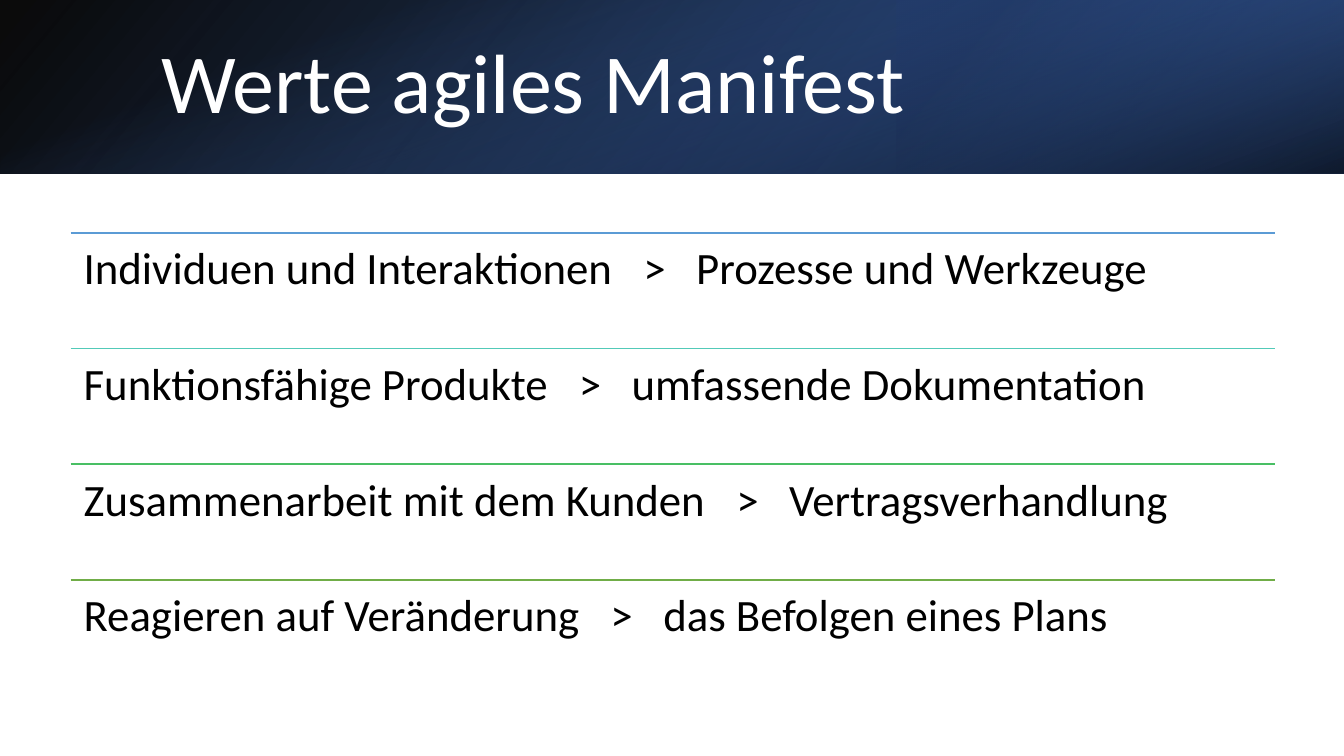
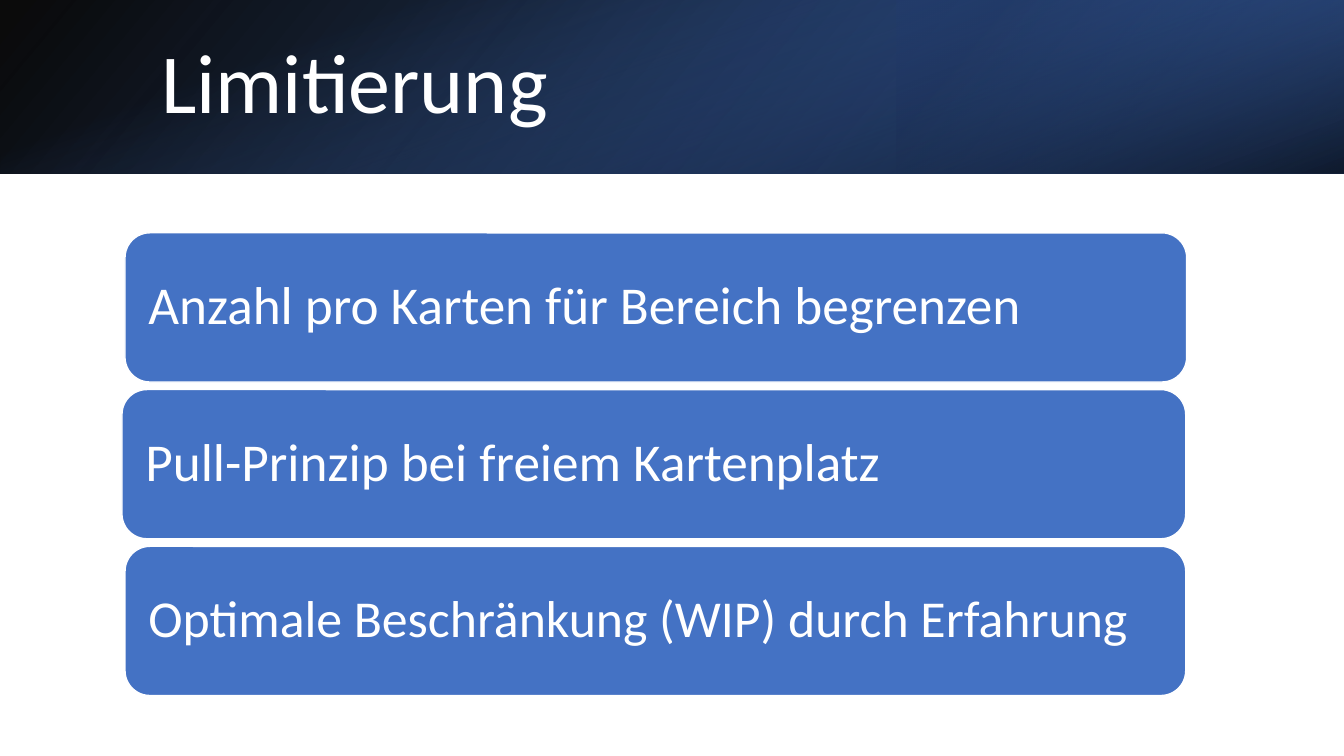
from lxml import etree
from pptx import Presentation
from pptx.dml.color import RGBColor
from pptx.enum import shapes, text
from pptx.oxml import ns
from pptx.util import Inches, Pt

FONT = "Calibri"
COLORS = {
    "black": "000000", "white": "FFFFFF", "blue": "4472C4",
    "deep_blue": "2F5597", "navy": "203864",
    "rule_blue": "5B9BD5", "rule_teal": "52CAB8",
    "rule_mint": "49BF64", "rule_green": "70AD47",
}
SLIDE_W, SLIDE_H, BAND_H = 13.33, 7.5, 1.72
CONTENT_TOP, CONTENT_BOTTOM = 2.31, 6.9

# Stops are (position %, colour, opacity %)
BAND_LAYERS = [
    dict(box=(0, 0, SLIDE_W, BAND_H), flip=True, turn=0, angle=140,
         stops=[(0, "black", 96), (100, "deep_blue", 100)]),
    dict(box=(8.89, 0, 4.44, BAND_H), flip=True, turn=180, angle=320,
         stops=[(19, "navy", 68), (100, "blue", 79)]),
    dict(box=((SLIDE_W - BAND_H) / 2, (BAND_H - SLIDE_W) / 2, BAND_H, SLIDE_W),
         flip=False, turn=90, angle=340,
         stops=[(23, "blue", 0), (99, "black", 74)]),
]

VALUES_TITLE = "Werte agiles Manifest"
VALUES = [
    ("Individuen und Interaktionen", "Prozesse und Werkzeuge", "rule_blue"),
    ("Funktionsfähige Produkte", "umfassende Dokumentation", "rule_teal"),
    ("Zusammenarbeit mit dem Kunden", "Vertragsverhandlung", "rule_mint"),
    ("Reagieren auf Veränderung", "das Befolgen eines Plans", "rule_green"),
]

LIMITS_TITLE = "Limitierung"
# Text, left, width, text size
LIMITS = [
    ("Anzahl pro Karten für Bereich begrenzen", 1.24, 10.53, 38),
    ("Pull-Prinzip bei freiem Kartenplatz", 1.21, 10.55, 38),
    ("Optimale Beschränkung (WIP) durch Erfahrung", 1.24, 10.52, 37),
]


def rgb(name):
    return RGBColor.from_string(COLORS[name])


def inches(*lengths):
    return [Inches(length) for length in lengths]


def write(shape, *parts, size, color="white", anchor="middle", insets=(0.1, 0.05), gap=0):
    """Write one paragraph; each part is a run, and gap widens runs that are one space."""
    frame = shape.text_frame
    frame.word_wrap = True
    frame.vertical_anchor = getattr(text.MSO_ANCHOR, anchor.upper())
    frame.margin_left = frame.margin_right = Inches(insets[0])
    frame.margin_top = frame.margin_bottom = Inches(insets[1])
    paragraph = frame.paragraphs[0]
    paragraph.alignment = text.PP_ALIGN.LEFT
    paragraph.line_spacing = 0.9
    for part in parts:
        run = paragraph.add_run()
        run.text = part
        run.font.name, run.font.size = FONT, Pt(size)
        run.font.color.rgb = rgb(color)
        if part == " ":
            run.font._element.set("spc", str(round(gap * 100)))


def add_box(slide, kind, box):
    shape = slide.shapes.add_shape(kind, *inches(*box))
    shape.shadow.inherit = False
    return shape


def fill_gradient(shape, stops, angle):
    properties = shape.element.spPr
    gradient = etree.Element(ns.qn("a:gradFill"), rotWithShape="1")
    stop_list = etree.SubElement(gradient, ns.qn("a:gsLst"))
    for position, color, opacity in stops:
        stop = etree.SubElement(stop_list, ns.qn("a:gs"), pos=str(position * 1000))
        tint = etree.SubElement(stop, ns.qn("a:srgbClr"), val=COLORS[color])
        etree.SubElement(tint, ns.qn("a:alpha"), val=str(opacity * 1000))
    etree.SubElement(gradient, ns.qn("a:lin"), ang=str(angle * 60000), scaled="0")
    properties.find(ns.qn("a:prstGeom")).addnext(gradient)


def add_titled_slide(deck, title):
    slide = deck.slides.add_slide(deck.slide_layouts[6])
    for layer in BAND_LAYERS:
        band = add_box(slide, shapes.MSO_SHAPE.RECTANGLE, layer["box"])
        band.line.fill.background()
        band.rotation = layer["turn"]
        if layer["flip"]:
            band.element.spPr.find(ns.qn("a:xfrm")).set("flipH", "1")
        fill_gradient(band, layer["stops"], layer["angle"])
    write(slide.shapes.add_textbox(*inches(1.5, 0.38, 10.98, 0.96)), title, size=60)
    return slide


def add_rule(slide, left, top, width, color):
    rule = slide.shapes.add_connector(
        shapes.MSO_CONNECTOR.STRAIGHT, *inches(left, top, left + width, top))
    rule.line.color.rgb = rgb(color)
    rule.line.width = Pt(1)
    etree.SubElement(rule.element.spPr, ns.qn("a:effectLst"))


def build_values(deck):
    slide = add_titled_slide(deck, VALUES_TITLE)
    left, width = 0.7, 11.95
    row_height = (CONTENT_BOTTOM - CONTENT_TOP) / len(VALUES)
    for index, (preferred, other, color) in enumerate(VALUES):
        top = CONTENT_TOP + index * row_height
        add_rule(slide, left, top, width, color)
        row = slide.shapes.add_textbox(*inches(left, top, width, row_height))
        write(row, preferred, " ", ">", " ", other, size=32, color="black",
              anchor="top", insets=(0.13, 0.13), gap=14.5)


def build_limits(deck):
    slide = add_titled_slide(deck, LIMITS_TITLE)
    height = 1.48
    pitch = (CONTENT_BOTTOM - CONTENT_TOP - height) / (len(LIMITS) - 1)
    for index, (limit, left, width, size) in enumerate(LIMITS):
        card = add_box(slide, shapes.MSO_SHAPE.ROUNDED_RECTANGLE,
                       (left, CONTENT_TOP + index * pitch, width, height))
        card.fill.solid()
        card.fill.fore_color.rgb = rgb("blue")
        card.line.color.rgb = rgb("white")
        card.line.width = Pt(1)
        write(card, limit, size=size, insets=(0.16, 0.08))


def main():
    deck = Presentation()
    deck.slide_width, deck.slide_height = inches(SLIDE_W, SLIDE_H)
    build_values(deck)
    build_limits(deck)
    deck.save("out.pptx")


if __name__ == "__main__":
    main()
